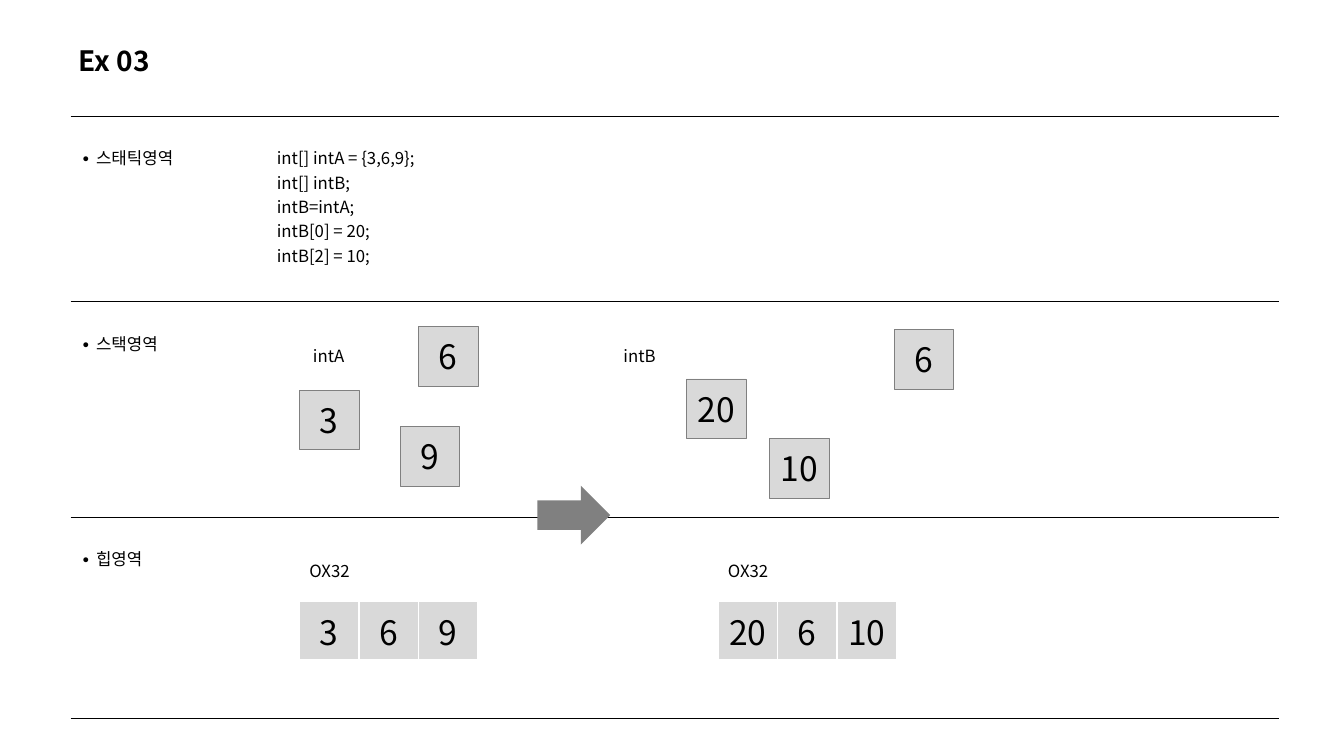
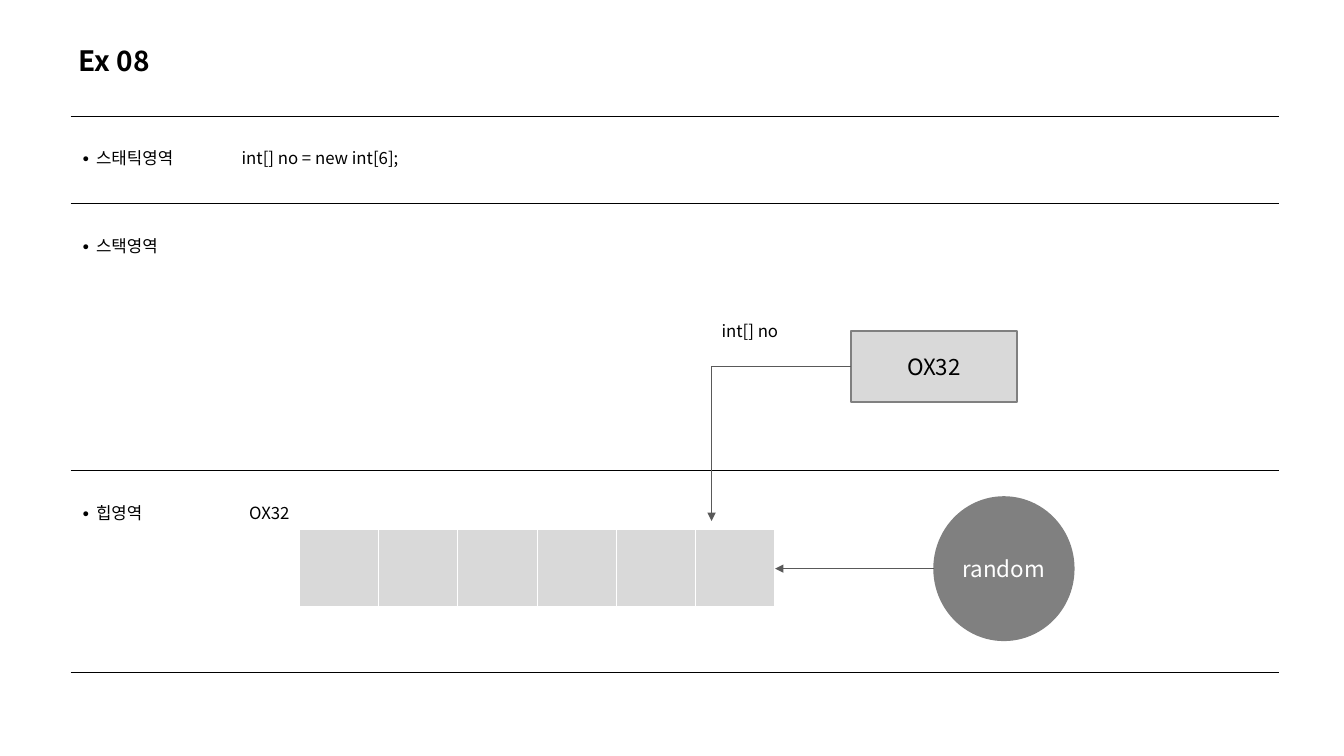
from lxml import etree
from pptx import Presentation
from pptx.dml.color import RGBColor
from pptx.enum.shapes import MSO_CONNECTOR, MSO_SHAPE
from pptx.enum.text import MSO_ANCHOR, PP_ALIGN
from pptx.oxml.ns import qn
from pptx.util import Pt

RECT, OVAL, ARROW = MSO_SHAPE.RECTANGLE, MSO_SHAPE.OVAL, MSO_SHAPE.RIGHT_ARROW
STRAIGHT, ELBOW = MSO_CONNECTOR.STRAIGHT, MSO_CONNECTOR.ELBOW
CENTER, MIDDLE = PP_ALIGN.CENTER, MSO_ANCHOR.MIDDLE

FONT = "Noto Sans CJK KR"
BLACK, WHITE = "000000", "FFFFFF"
LIGHT, GRAY, DARK = "D9D9D9", "808080", "595959"
LEFT, TOP, WIDTH = 50.4, 82.8, 863.3
AREAS = ("스태틱영역", "스택영역", "힙영역")
CELL = 42.5
SPACE = 2.7  # width of one space at 12 pt


def color(code):
    return RGBColor.from_string(code)


def style(frame, size, ink=BLACK, bold=False, align=None):
    for para in frame.paragraphs:
        para.alignment = align
        for run in para.runs:
            font = run.font
            font.size, font.bold = Pt(size), bold
            font.color.rgb = color(ink)
            font.name = FONT
            east = etree.SubElement(run._r.get_or_add_rPr(), qn("a:ea"))
            east.set("typeface", FONT)


def label(slide, text, x, y, size=12, bold=False):
    box = slide.shapes.add_textbox(Pt(x), Pt(y), Pt(100), Pt(size * 1.8))
    frame = box.text_frame
    frame.word_wrap = True
    frame.text = text
    style(frame, size, bold=bold)


def block(slide, kind, box, text="", size=24, fill=LIGHT, ink=BLACK, line=0.5):
    shape = slide.shapes.add_shape(kind, *map(Pt, box))
    shape.shadow.inherit = False
    shape.fill.solid()
    shape.fill.fore_color.rgb = color(fill)
    if line:
        shape.line.color.rgb = color(GRAY)
        shape.line.width = Pt(line)
    else:
        shape.line.fill.background()
    frame = shape.text_frame
    frame.margin_left = frame.margin_right = 0
    frame.vertical_anchor = MIDDLE
    frame.text = text
    style(frame, size, ink, align=CENTER)
    return shape


def link(slide, kind, start, end):
    """Draw a connector with an arrowhead at its end."""
    line = slide.shapes.add_connector(kind, *map(Pt, start + end))
    line.line.color.rgb = color(DARK)
    line.line.width = Pt(1)
    props = line._element.spPr
    if kind == ELBOW:
        props.find(qn("a:prstGeom")).set("prst", "bentConnector2")
    etree.SubElement(props.find(qn("a:ln")), qn("a:tailEnd"), type="triangle")
    etree.SubElement(props, qn("a:effectLst"))


def edges(cell, ink, sides):
    """Set cell borders from widths for left, right, top, bottom; 0 is none."""
    props = cell._tc.get_or_add_tcPr()
    for spot, (side, width) in enumerate(zip("LRTB", sides)):
        line = etree.Element(qn("a:ln" + side), w=str(int(Pt(width))))
        if width:
            fill = etree.SubElement(line, qn("a:solidFill"))
            etree.SubElement(fill, qn("a:srgbClr"), val=ink)
        else:
            etree.SubElement(line, qn("a:noFill"))
        props.insert(spot, line)


def plain(slide, x, y, cols, rows):
    """Add a table without header or bands."""
    table = slide.shapes.add_table(
        len(rows), len(cols), Pt(x), Pt(y), Pt(sum(cols)), Pt(sum(rows))).table
    table.first_row = table.horz_banding = False
    for col, width in zip(table.columns, cols):
        col.width = Pt(width)
    for row, height in zip(table.rows, rows):
        row.height = Pt(height)
    return table


def array(slide, x, y, values, side=CELL):
    table = plain(slide, x, y, [side] * len(values), [side])
    for cell, value in zip(table.iter_cells(), values):
        cell.fill.solid()
        cell.fill.fore_color.rgb = color(LIGHT)
        edges(cell, WHITE, (1, 1, 1, 3))
        cell.margin_left = cell.margin_right = Pt(5.8)
        cell.vertical_anchor = MIDDLE
        cell.text = value
        style(cell.text_frame, 24, align=CENTER)


def bullet(para):
    props = para._p.get_or_add_pPr()
    props.set("marL", str(int(Pt(11))))
    props.set("indent", str(int(Pt(-11))))
    etree.SubElement(props, qn("a:buFont"), typeface=FONT)
    etree.SubElement(props, qn("a:buChar"), char="∙")


def areas(slide, title, split, rows, notes):
    """Draw title and memory areas; return the corner of each content cell."""
    label(slide, title, 49, 27.4, 20, True)
    table = plain(slide, LEFT, TOP, [split, WIDTH - split], rows)
    corners, y = [], TOP
    for index, (name, height, (note, gap)) in enumerate(zip(AREAS, rows, notes)):
        for col, text in enumerate((name, note)):
            cell = table.cell(index, col)
            cell.fill.background()
            edges(cell, BLACK, (0, 0, 0.5, 0.5))
            cell.margin_top = Pt(21)
            cell.text = text
            style(cell.text_frame, 12)
        cell.margin_left = Pt(7.2 + gap * SPACE)
        bullet(table.cell(index, 0).text_frame.paragraphs[0])
        corners.append((LEFT + split, y))
        y += height
    return corners


def values(slide, x, y):
    for text, dx in (("intA", 28.6), ("intB", 250.4)):
        label(slide, text, x + dx, y + 28)
    for text, dx, dy in (("3", 26, 63.3), ("6", 111, 18), ("9", 98, 89.3),
                         ("20", 302.4, 55.4), ("6", 450.7, 20), ("10", 362, 98)):
        block(slide, RECT, (x + dx, y + dy, CELL, CELL), text)


def change(slide, x, y):
    """Show the array before and after the assignment."""
    for dx, items in ((26, ("3", "6", "9")), (325, ("20", "6", "10"))):
        label(slide, "OX32", x + dx, y + 27.4)
        array(slide, x + dx, y + 60, items)
    block(slide, ARROW, (x + 196, y - 22.3, 52, 42), fill=GRAY, line=0)


def pointer(slide, x, y):
    box = (x + 445, y + 90.8, 118.8, 51.1)
    block(slide, RECT, box, "OX32", 16, line=1.5)
    label(slide, "int[] no", x + 345.6, y + 80)
    link(slide, ELBOW, (box[0], box[1] + box[3] / 2), (x + 345.6, y + 226.8))


def filling(slide, x, y):
    """Show the six empty cells and the source of their values."""
    side, count, left, mid = 56.64, 6, x + 51.1, y + 70
    array(slide, left, mid - side / 2, [""] * count, side)
    start = x + 504.7
    block(slide, OVAL, (start, mid - 51, 99.4, 102), "random", 16, GRAY, WHITE, 1.5)
    link(slide, STRAIGHT, (start, mid), (left + count * side, mid))


def main():
    deck = Presentation()
    deck.slide_width, deck.slide_height = Pt(960), Pt(540)
    blank = deck.slide_layouts[6]
    code = "int[] intA = {3,6,9};\nint[] intB;\nintB=intA;\nintB[0] = 20;\nintB[2] = 10;"

    slide = deck.slides.add_slide(blank)
    _, stack, heap = areas(slide, "Ex 03", 137.5, (132.5, 154, 144),
                           ((code, 1), ("", 0), ("", 0)))
    values(slide, *stack)
    change(slide, *heap)

    slide = deck.slides.add_slide(blank)
    _, stack, heap = areas(slide, "Ex 08", 112.3, (62.6, 190.8, 144),
                           (("int[] no = new int[6];", 1), ("", 0), ("OX32", 3)))
    pointer(slide, *stack)
    filling(slide, *heap)

    deck.save("out.pptx")


if __name__ == "__main__":
    main()
